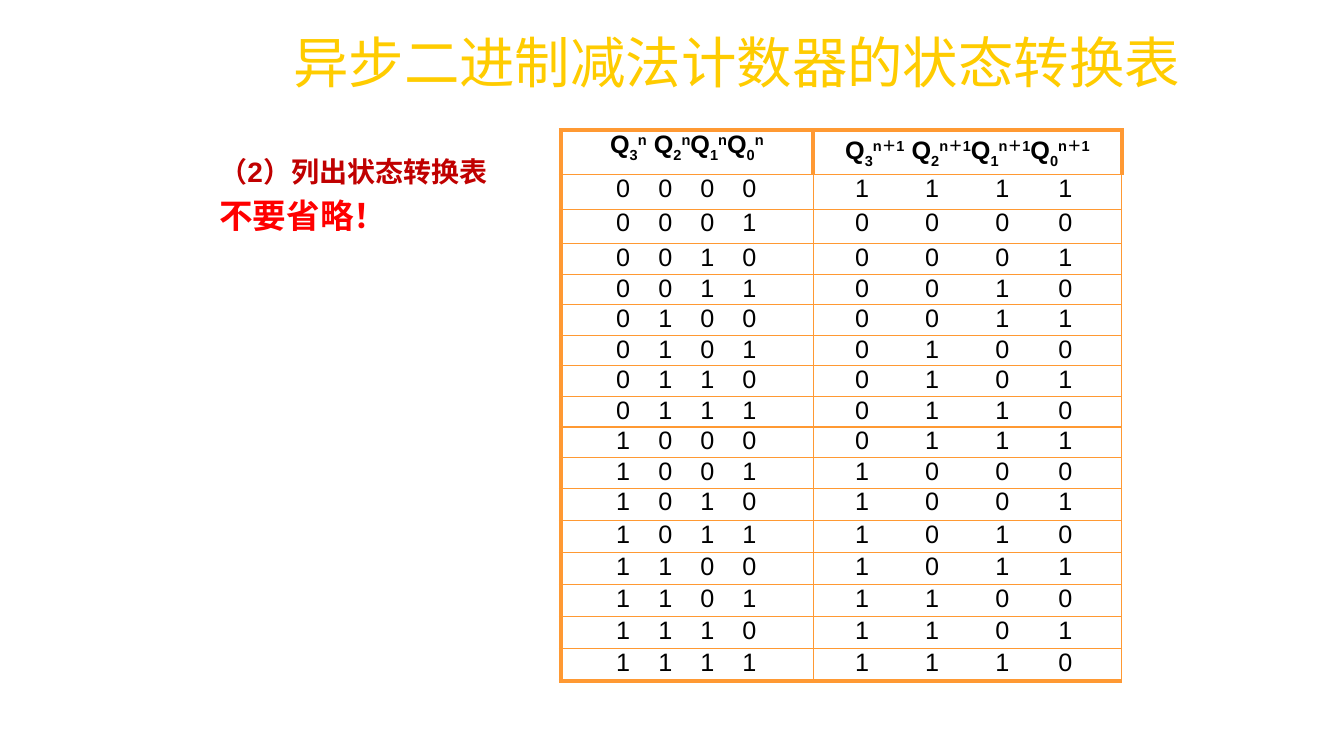
from dataclasses import dataclass

from lxml import etree
from pptx import Presentation
from pptx.dml.color import RGBColor
from pptx.enum.text import MSO_ANCHOR, PP_ALIGN
from pptx.oxml.ns import qn
from pptx.util import Cm, Pt

CENTER, LEFT = PP_ALIGN.CENTER, PP_ALIGN.LEFT
TOP, MIDDLE = MSO_ANCHOR.TOP, MSO_ANCHOR.MIDDLE
BITS = 4


@dataclass(frozen=True)
class Theme:
    latin: str = "Arial"
    chinese: str = "Noto Sans CJK SC"
    gold: str = "FFCC00"
    dark_red: str = "C00000"
    red: str = "FF0000"
    ink: str = "000000"
    border: str = "FF9933"
    title_size: float = 39.6
    step_size: float = 20
    warning_size: float = 24
    table_size: float = 18
    thin: float = 1
    thick: float = 3


THEME = Theme()


def add_span(para, text, size, color, name=THEME.latin, bold=False, baseline=0):
    span = para.add_run()
    span.text = text
    for key, value in {"size": Pt(size), "name": name, "bold": bold}.items():
        setattr(span.font, key, value)
    span.font.color.rgb = RGBColor.from_string(color)
    if baseline:
        span._r.get_or_add_rPr().set("baseline", str(baseline * 1000))


def add_text(page, box, lines, anchor):
    """Place a wrapped text box; each line is a dict of span values."""
    frame = page.shapes.add_textbox(*box).text_frame
    frame.word_wrap = True
    frame.vertical_anchor = anchor
    for number, line in enumerate(lines):
        para = frame.add_paragraph() if number else frame.paragraphs[0]
        para.alignment, para.line_spacing = LEFT, 0.9
        para.space_before = Pt(8 if number else 0)
        add_span(para, **line)


def add_title(page, box):
    add_text(page, box, [
        dict(text="异步二进制减法计数器的状态转换表", size=THEME.title_size, color=THEME.gold),
    ], MIDDLE)


def add_step(page, box):
    add_text(page, box, [
        dict(text="（2）列出状态转换表", size=THEME.step_size, color=THEME.dark_red, bold=True),
        dict(text="不要省略！", size=THEME.warning_size, color=THEME.red,
             name=THEME.chinese, bold=True),
    ], TOP)


def set_borders(cell, widths):
    props = cell._tc.get_or_add_tcPr()
    for side in "LRTB":
        line = etree.SubElement(props, qn(f"a:ln{side}"), w=str(Pt(widths[side])))
        fill = etree.SubElement(line, qn("a:solidFill"))
        etree.SubElement(fill, qn("a:srgbClr"), val=THEME.border)
    cell.fill.background()


def write_header(cell, exponent):
    para = cell.text_frame.paragraphs[0]
    para.alignment = CENTER
    for bit in reversed(range(BITS)):
        letter = " Q" if bit == 2 else "Q"
        for text, baseline in ((letter, 0), (str(bit), -30), (exponent, 30)):
            add_span(para, text, THEME.table_size, THEME.ink, bold=True, baseline=baseline)


def write_state(cell, state, start, stops):
    """Write the bits of a state, spaced by tab stops."""
    cell.margin_left = start
    para = cell.text_frame.paragraphs[0]
    para.alignment = LEFT
    tabs = etree.SubElement(para._p.get_or_add_pPr(), qn("a:tabLst"))
    for stop in stops:
        etree.SubElement(tabs, qn("a:tab"), pos=str(stop), algn="l")
    add_span(para, "\t".join(f"{state:0{BITS}b}"), THEME.table_size, THEME.ink)


def add_state_table(page, box):
    states = 2 ** BITS
    table = page.shapes.add_table(states + 1, 2, *box).table
    table.first_row = table.horz_banding = False

    # Column widths and row heights
    for column, share in zip(table.columns, (0.45, 0.55)):
        column.width = int(box[2] * share)
    heights = [1.12] + [0.87] * 2 + [0.77] * 8 + [0.81] * 6
    for row, height in zip(table.rows, heights):
        row.height = Cm(height)

    # Borders and margins
    for r in range(states + 1):
        for c in range(2):
            cell = table.cell(r, c)
            for side in ("left", "top", "right", "bottom"):
                setattr(cell, f"margin_{side}", 0)
            heavy = {"L": r == 0 or c == 0, "R": r == 0, "T": r == 0, "B": r == states}
            set_borders(cell, {side: THEME.thick if on else THEME.thin
                               for side, on in heavy.items()})

    # Each state counts down by one, wrapping from 0 to 15
    write_header(table.cell(0, 0), "n")
    write_header(table.cell(0, 1), "n＋1")
    now_stops = [Cm(1.06 * step) for step in range(1, BITS)]
    next_stops = [Cm(1.76), Cm(3.53), Cm(5.12)]
    for state in range(states):
        write_state(table.cell(state + 1, 0), state, Cm(1.4), now_stops)
        write_state(table.cell(state + 1, 1), (state - 1) % states, Cm(1.06), next_stops)


def main():
    deck = Presentation()
    deck.slide_width, deck.slide_height = Cm(33.87), Cm(19.05)
    page = deck.slides.add_slide(deck.slide_layouts[6])
    add_title(page, (Cm(7.14), Cm(0.79), Cm(26.06), Cm(1.7)))
    add_step(page, (Cm(5.28), Cm(3.86), Cm(8.2), Cm(2.46)))
    add_state_table(page, (Cm(14.13), Cm(3.28), Cm(14.14), Cm(13.77)))
    deck.save("out.pptx")


if __name__ == "__main__":
    main()
